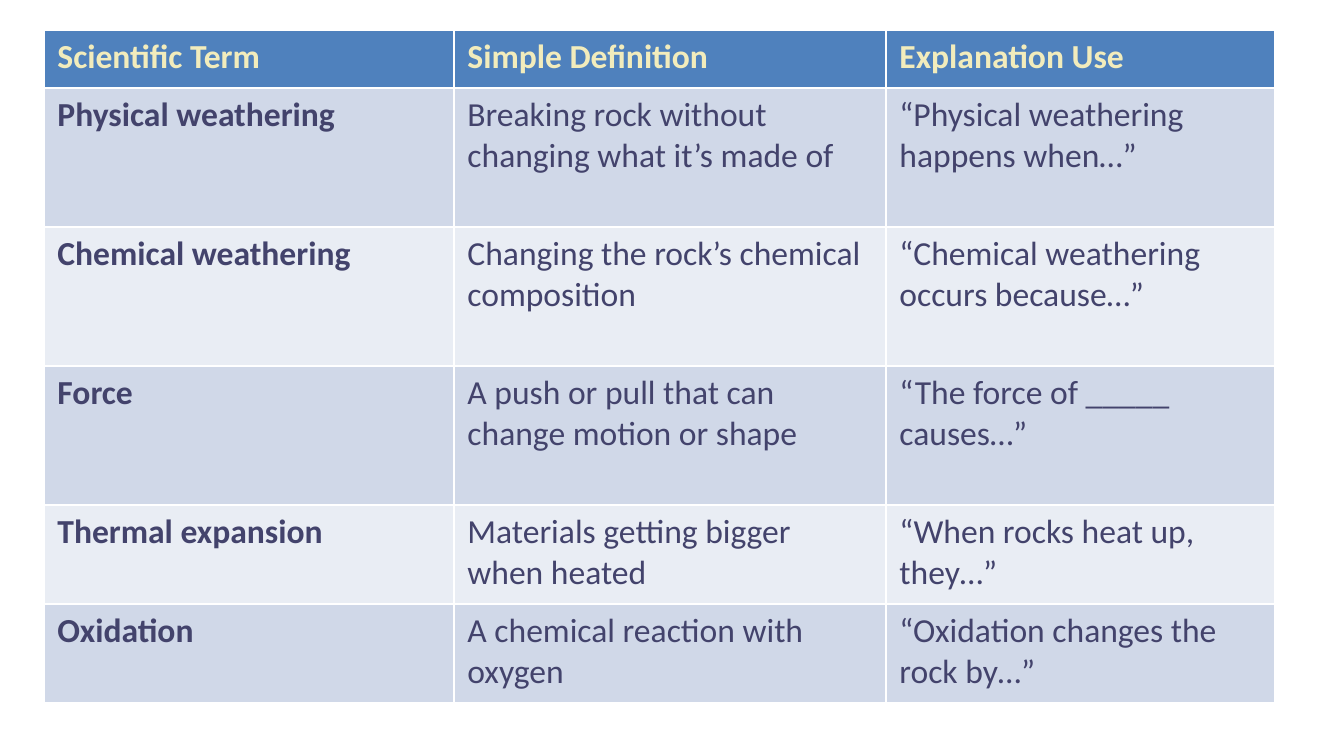
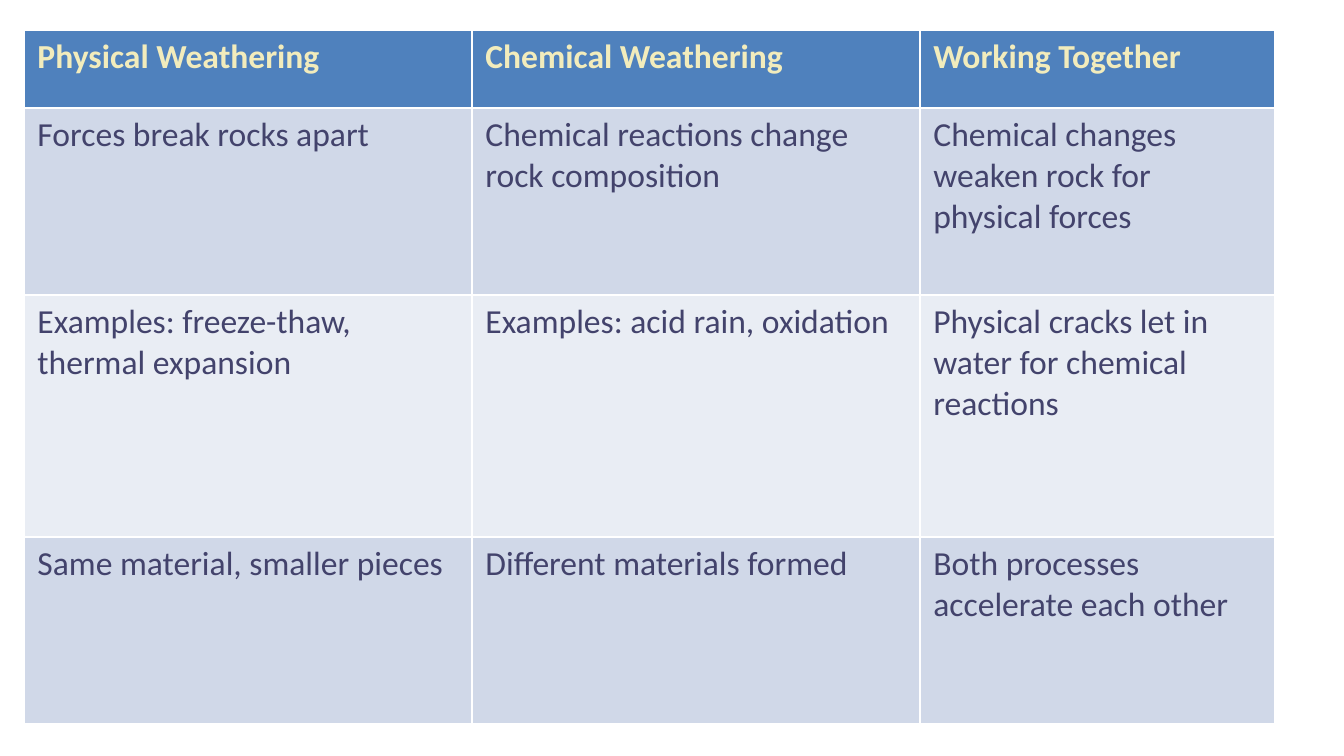
from lxml.etree import SubElement
from pptx import Presentation
from pptx.dml.color import RGBColor
from pptx.oxml.ns import qn
from pptx.util import Pt

EMU_PER_PX = 914400 / 134.4
WHITE = "FFFFFF"
HEADER_FILL = "4F81BD"
HEADER_TEXT = "F2ECBC"
BODY_TEXT = "43436C"
BAND_FILLS = ["E9EDF4", "D0D8E8"]

TABLES = [
    {
        "left": 44,
        "columns": [410, 432, 389],
        "rows": [58, 139, 139, 139, 99, 99],
        "bold_terms": True,
        "cells": [
            ["Scientific Term", "Simple Definition", "Explanation Use"],
            ["Physical weathering", "Breaking rock without changing what it’s made of",
             "“Physical weathering happens when…”"],
            ["Chemical weathering", "Changing the rock’s chemical composition",
             "“Chemical weathering occurs because…”"],
            ["Force", "A push or pull that can change motion or shape",
             "“The force of _____ causes…”"],
            ["Thermal expansion", "Materials getting bigger when heated",
             "“When rocks heat up, they…”"],
            ["Oxidation", "A chemical reaction with oxygen",
             "“Oxidation changes the rock by…”"],
        ],
    },
    {
        "left": 24,
        "columns": [448, 448, 355],
        "rows": [78, 187, 242, 187],
        "bold_terms": False,
        "cells": [
            ["Physical Weathering", "Chemical Weathering", "Working Together"],
            ["Forces break rocks apart", "Chemical reactions change rock composition",
             "Chemical changes weaken rock for physical forces"],
            ["Examples: freeze-thaw, thermal expansion", "Examples: acid rain, oxidation",
             "Physical cracks let in water for chemical reactions"],
            ["Same material, smaller pieces", "Different materials formed",
             "Both processes accelerate each other"],
        ],
    },
]
TABLE_TOP = 30


def px(length):
    """Turn pixels into EMU."""
    return round(length * EMU_PER_PX)


def paint(fill, color):
    fill.solid()
    fill.fore_color.rgb = RGBColor.from_string(color)


presentation = Presentation()
presentation.slide_width = px(1344)
presentation.slide_height = px(756)

for content in TABLES:
    slide = presentation.slides.add_slide(presentation.slide_layouts[6])
    paint(slide.background.fill, WHITE)
    columns, rows = content["columns"], content["rows"]
    table = slide.shapes.add_table(
        len(rows), len(columns), px(content["left"]), px(TABLE_TOP),
        px(sum(columns)), px(sum(rows))).table
    for column, width in zip(table.columns, columns):
        column.width = px(width)
    for row, height in zip(table.rows, rows):
        row.height = px(height)

    for row_index, texts in enumerate(content["cells"]):
        is_header = row_index == 0
        for column_index, text in enumerate(texts):
            cell = table.cell(row_index, column_index)
            cell.text_frame.text = text
            font = cell.text_frame.paragraphs[0].runs[0].font
            font.name = "Calibri"
            font.size = Pt(18)
            font.bold = is_header or (content["bold_terms"] and column_index == 0)
            font.color.rgb = RGBColor.from_string(HEADER_TEXT if is_header else BODY_TEXT)

            # Border lines must come before the fill in the cell properties.
            properties = cell._tc.get_or_add_tcPr()
            for side in ["L", "R", "T", "B"]:
                line = SubElement(properties, qn(f"a:ln{side}"), w=str(Pt(1)))
                line_fill = SubElement(line, qn("a:solidFill"))
                SubElement(line_fill, qn("a:srgbClr"), val=WHITE)
            paint(cell.fill, HEADER_FILL if is_header else BAND_FILLS[row_index % 2])

presentation.save("out.pptx")
